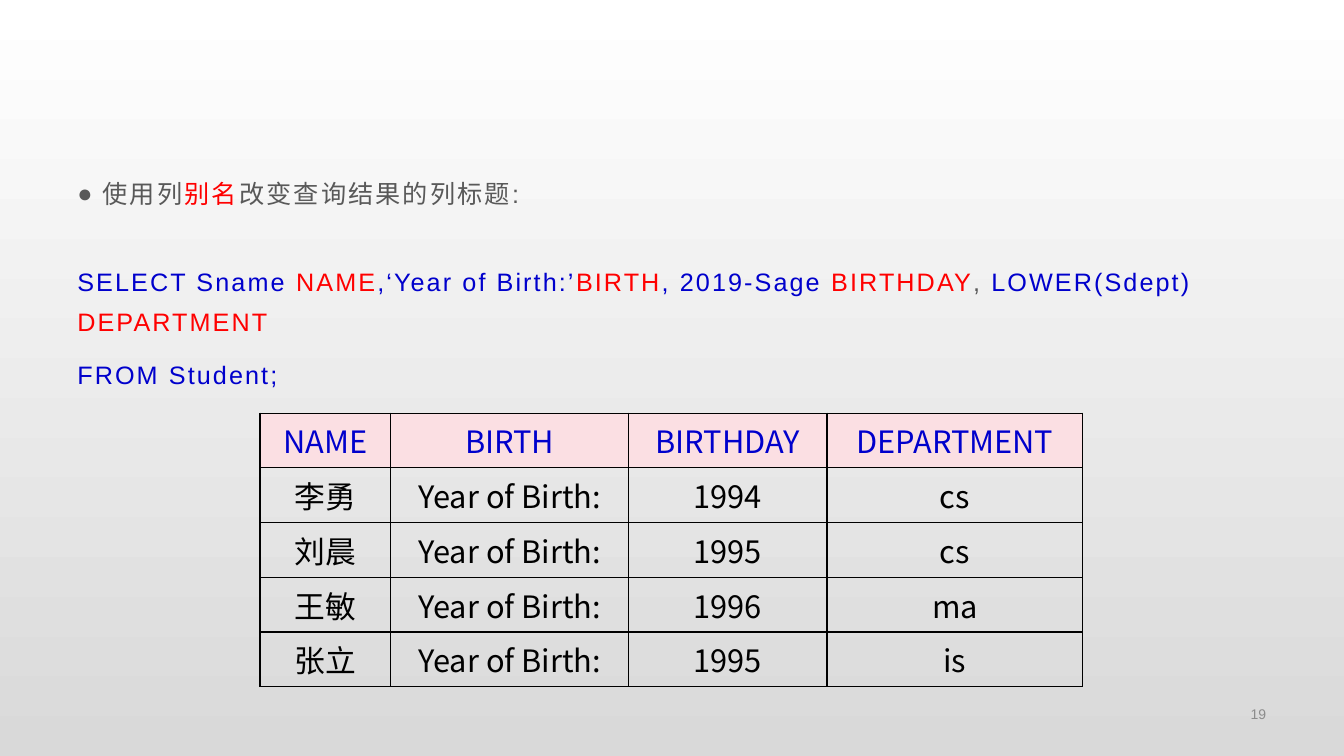
"""Build the slide on column aliases in a SELECT query."""
from lxml import etree
from pptx import Presentation
from pptx import util as u
from pptx.dml.color import RGBColor
from pptx.enum import text
from pptx.oxml import ns

BLUE = RGBColor(0x00, 0x00, 0xCC)
RED = RGBColor(0xFF, 0x00, 0x00)
GREY = RGBColor(0x59, 0x59, 0x59)
PALE = RGBColor(0x8C, 0x8C, 0x8C)
BLACK = RGBColor(0x00, 0x00, 0x00)
PINK = RGBColor(0xFB, 0xDF, 0xE3)
SHADES = [RGBColor(0xFF, 0xFF, 0xFF), RGBColor(0xD9, 0xD9, 0xD9)]
SANS, HAN = "Arial", "Noto Sans CJK SC"

TOPIC = [("使用列", GREY), ("别名", RED), ("改变查询结果的列标题:", GREY)]
QUERY = [
    [("SELECT Sname ", BLUE), ("NAME", RED), (",‘Year of Birth:’", BLUE),
     ("BIRTH", RED), (", 2019-Sage ", BLUE), ("BIRTHDAY", RED), (", ", GREY),
     ("LOWER(Sdept) ", BLUE), ("DEPARTMENT", RED)],
    [("FROM Student;", BLUE)],
]
HEADS = ("NAME", "BIRTH", "BIRTHDAY", "DEPARTMENT")
PEOPLE = [("李勇", 1994, "cs"), ("刘晨", 1995, "cs"),
          ("王敏", 1996, "ma"), ("张立", 1995, "is")]
ROWS = [HEADS] + [(name, "Year of Birth:", str(year), dept)
                  for name, year, dept in PEOPLE]
WIDTHS = (3.3, 5.99, 5.0, 6.45)
HEIGHT = 1.38


def add(node, tag, **attrs):
    """Append a drawing element and return it."""
    return etree.SubElement(node, ns.qn("a:" + tag), attrs)


def write(para, words, size, color, face=SANS, gap=0):
    """Add one styled run to a paragraph."""
    run = para.add_run()
    run.text = words
    font = run.font
    font.size, font.name, font.color.rgb = u.Pt(size), face, color
    add(font._element, "ea", typeface=HAN)
    if gap:
        font._element.set("spc", str(gap))


def frame(cell):
    """Draw a thin black line on every side of a cell."""
    props = cell._tc.get_or_add_tcPr()
    for place, side in enumerate(("lnL", "lnR", "lnT", "lnB")):
        line = add(props, side, w="12700")
        props.insert(place, line)
        add(add(line, "solidFill"), "srgbClr", val=str(BLACK))


def box(slide, left, top, width, height):
    """Add a wrapping text box and return its text frame."""
    area = slide.shapes.add_textbox(*map(u.Cm, (left, top, width, height)))
    area.text_frame.word_wrap = True
    return area.text_frame


def body(slide):
    """Add the topic line and the query below it."""
    area = box(slide, 1.7, 4.14, 30.48, 13.2)
    for i, parts in enumerate([TOPIC] + QUERY):
        para = area.paragraphs[0] if i == 0 else area.add_paragraph()
        para.line_spacing = 1.3
        para.space_after = u.Pt(10 if i else 35)
        if i == 0:
            props = para._p.get_or_add_pPr()
            props.set("marL", str(u.Cm(0.64)))
            props.set("indent", str(u.Cm(-0.64)))
            add(props, "buFont", typeface=SANS)
            add(props, "buChar", char="●")
        for words, color in parts:
            write(para, words, 18, color, gap=150)


def grid(slide):
    """Add the table of query results."""
    size = (6.55, 10.41, sum(WIDTHS), HEIGHT * len(ROWS))
    table = slide.shapes.add_table(
        len(ROWS), len(WIDTHS), *map(u.Cm, size)).table
    table.first_row = table.horz_banding = False
    for col, width in zip(table.columns, WIDTHS):
        col.width = u.Cm(width)
    for r, row in enumerate(ROWS):
        table.rows[r].height = u.Cm(HEIGHT)
        for c, words in enumerate(row):
            cell = table.cell(r, c)
            cell.vertical_anchor = text.MSO_ANCHOR.MIDDLE
            if r == 0:
                cell.fill.solid()
                cell.fill.fore_color.rgb = PINK
            else:
                cell.fill.background()
            frame(cell)
            para = cell.text_frame.paragraphs[0]
            para.alignment = text.PP_ALIGN.CENTER
            write(para, words, 22, BLACK if r else BLUE, HAN)


def main():
    """Build and save the deck."""
    deck = Presentation()
    deck.slide_width, deck.slide_height = u.Cm(33.87), u.Cm(19.05)
    slide = deck.slides.add_slide(deck.slide_layouts[6])
    fill = slide.background.fill
    fill.gradient()
    fill.gradient_angle = 270
    for stop, shade in zip(fill.gradient_stops, SHADES):
        stop.color.rgb = shade
    body(slide)
    page = box(slide, 24.66, 17.55, 7.5, 0.9)
    page.vertical_anchor = text.MSO_ANCHOR.MIDDLE
    page.paragraphs[0].alignment = text.PP_ALIGN.RIGHT
    write(page.paragraphs[0], "19", 10, PALE)
    grid(slide)
    deck.save("out.pptx")


if __name__ == "__main__":
    main()
